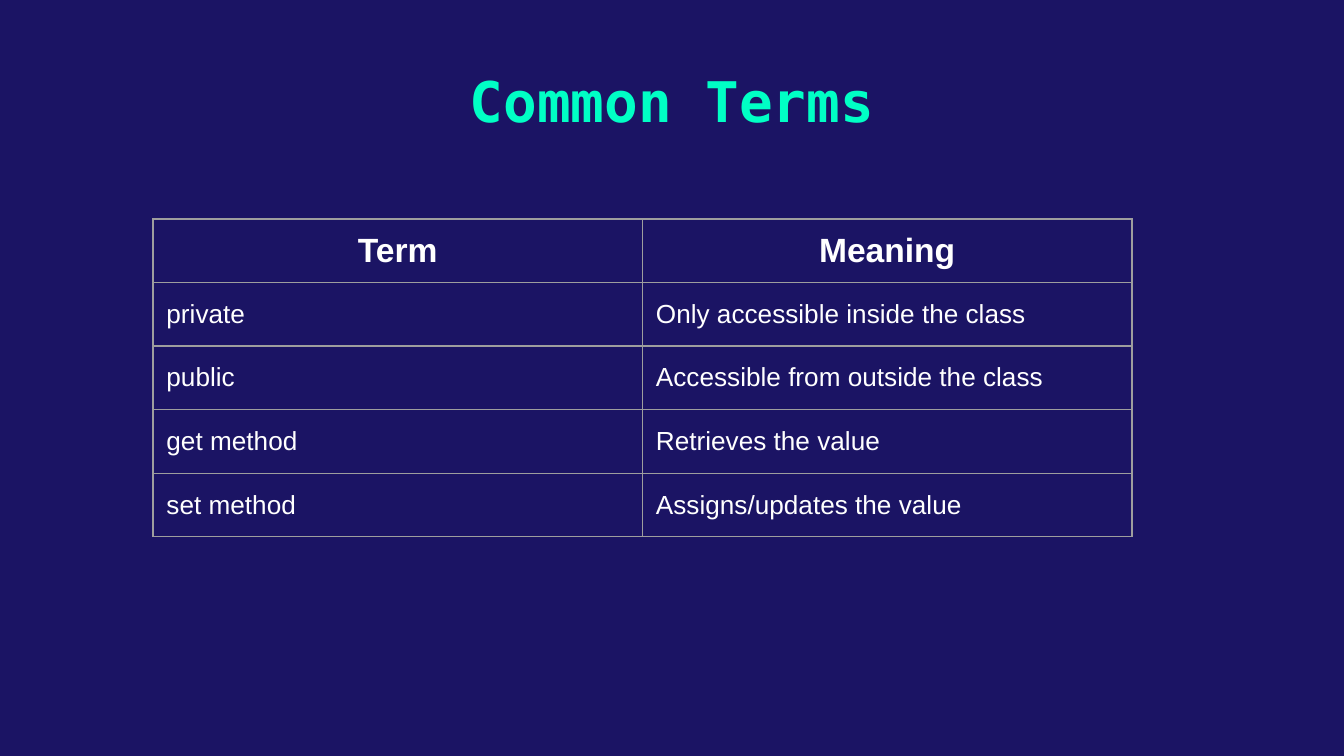
import pptx
import pptx.util
import pptx.dml.color
import pptx.enum.text
import pptx.oxml

TITLE = "Common Terms"
ROWS = [
    ("Term", "Meaning"),
    ("private", "Only accessible inside the class"),
    ("public", "Accessible from outside the class"),
    ("get method", "Retrieves the value"),
    ("set method", "Assigns/updates the value"),
]
NAVY, MINT, WHITE, GREY = "1B1464", "00FFC5", "FFFFFF", "9E9E9E"
TITLE_BOX = (188, 51, 968, 98)
TABLE_BOX = (153, 219, 979, 318)
PX = 914400 / 134.4
ALIGN = pptx.enum.text.PP_ALIGN
MIDDLE = pptx.enum.text.MSO_ANCHOR.MIDDLE


def px(n):
    return pptx.util.Emu(round(n * PX))


def rgb(color):
    return pptx.dml.color.RGBColor.from_string(color)


def write(tf, text, size, font, color, bold, align):
    tf.text = text
    p = tf.paragraphs[0]
    p.alignment = align
    f = p.runs[0].font
    f.size = pptx.util.Pt(size)
    f.name = font
    f.bold = bold
    f.color.rgb = rgb(color)


def add_borders(cell):
    tcPr = cell._tc.get_or_add_tcPr()
    for i, side in enumerate(("lnL", "lnR", "lnT", "lnB")):
        tcPr.insert(i, pptx.oxml.parse_xml(
            f'<a:{side} xmlns:a="http://schemas.openxmlformats.org/drawingml/2006/main" '
            f'w="{pptx.util.Pt(0.75)}"><a:solidFill><a:srgbClr val="{GREY}"/></a:solidFill>'
            f'<a:prstDash val="solid"/></a:{side}>'))


def add_title(s):
    tf = s.shapes.add_textbox(*map(px, TITLE_BOX)).text_frame
    tf.word_wrap = True
    tf.vertical_anchor = MIDDLE
    tf.margin_left = tf.margin_right = tf.margin_top = tf.margin_bottom = pptx.util.Inches(0.1)
    write(tf, TITLE, 30, "DejaVu Sans Mono", MINT, True, ALIGN.CENTER)


def add_terms(s):
    n_rows, n_cols = len(ROWS), len(ROWS[0])
    table = s.shapes.add_table(n_rows, n_cols, *map(px, TABLE_BOX)).table
    table.horz_banding = False
    for col in table.columns:
        col.width = px(TABLE_BOX[2] / n_cols)
    for i, texts in enumerate(ROWS):
        table.rows[i].height = px(TABLE_BOX[3] / n_rows)
        header = i == 0
        for j, text in enumerate(texts):
            cell = table.cell(i, j)
            cell.vertical_anchor = MIDDLE
            cell.fill.background()
            add_borders(cell)
            write(cell.text_frame, text, 18 if header else 14, "Arial", WHITE, header,
                  ALIGN.CENTER if header else ALIGN.LEFT)


def main():
    prs = pptx.Presentation()
    prs.slide_width, prs.slide_height = px(1344), px(756)
    s = prs.slides.add_slide(prs.slide_layouts[6])
    s.background.fill.solid()
    s.background.fill.fore_color.rgb = rgb(NAVY)
    add_title(s)
    add_terms(s)
    prs.save("out.pptx")


if __name__ == "__main__":
    main()
